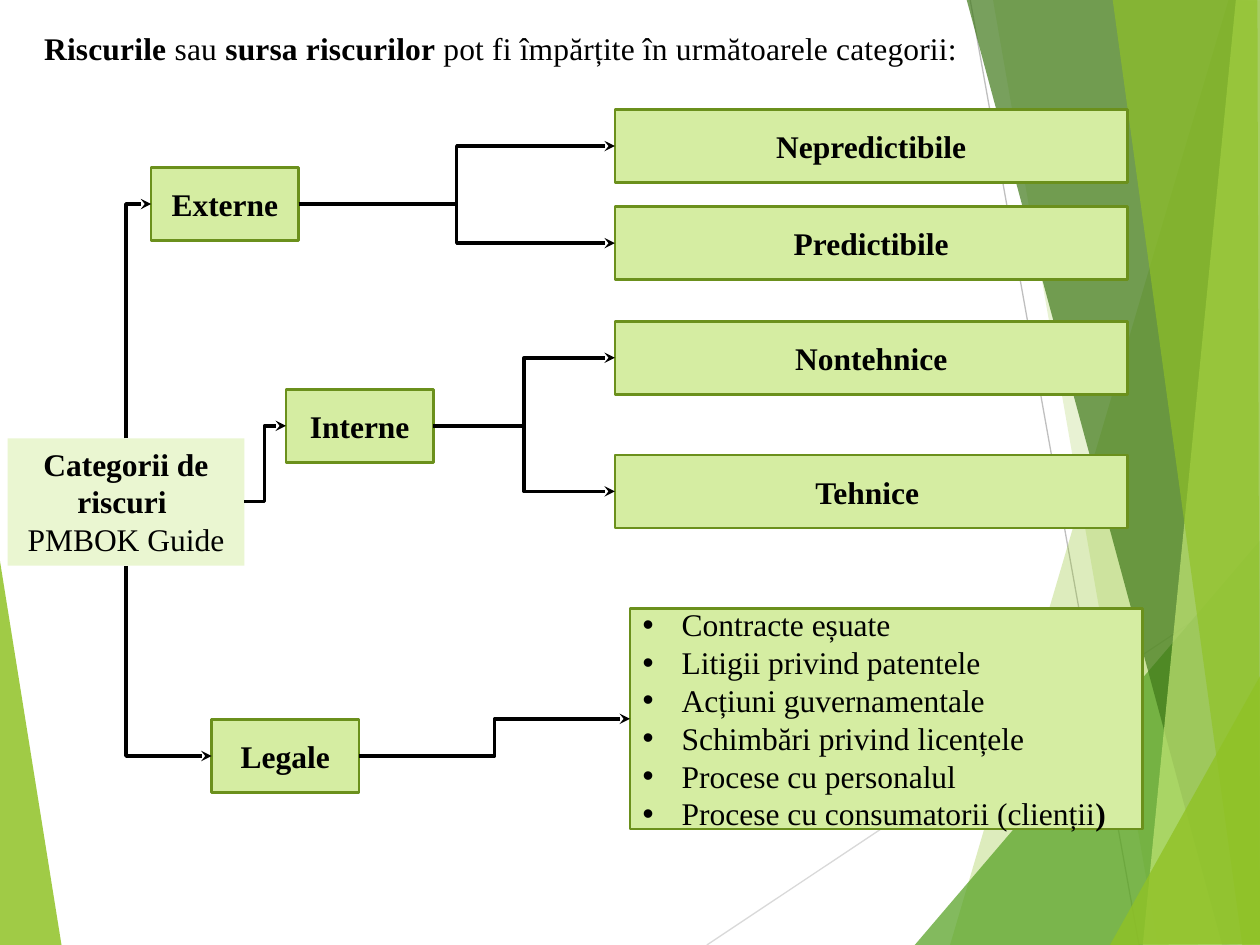
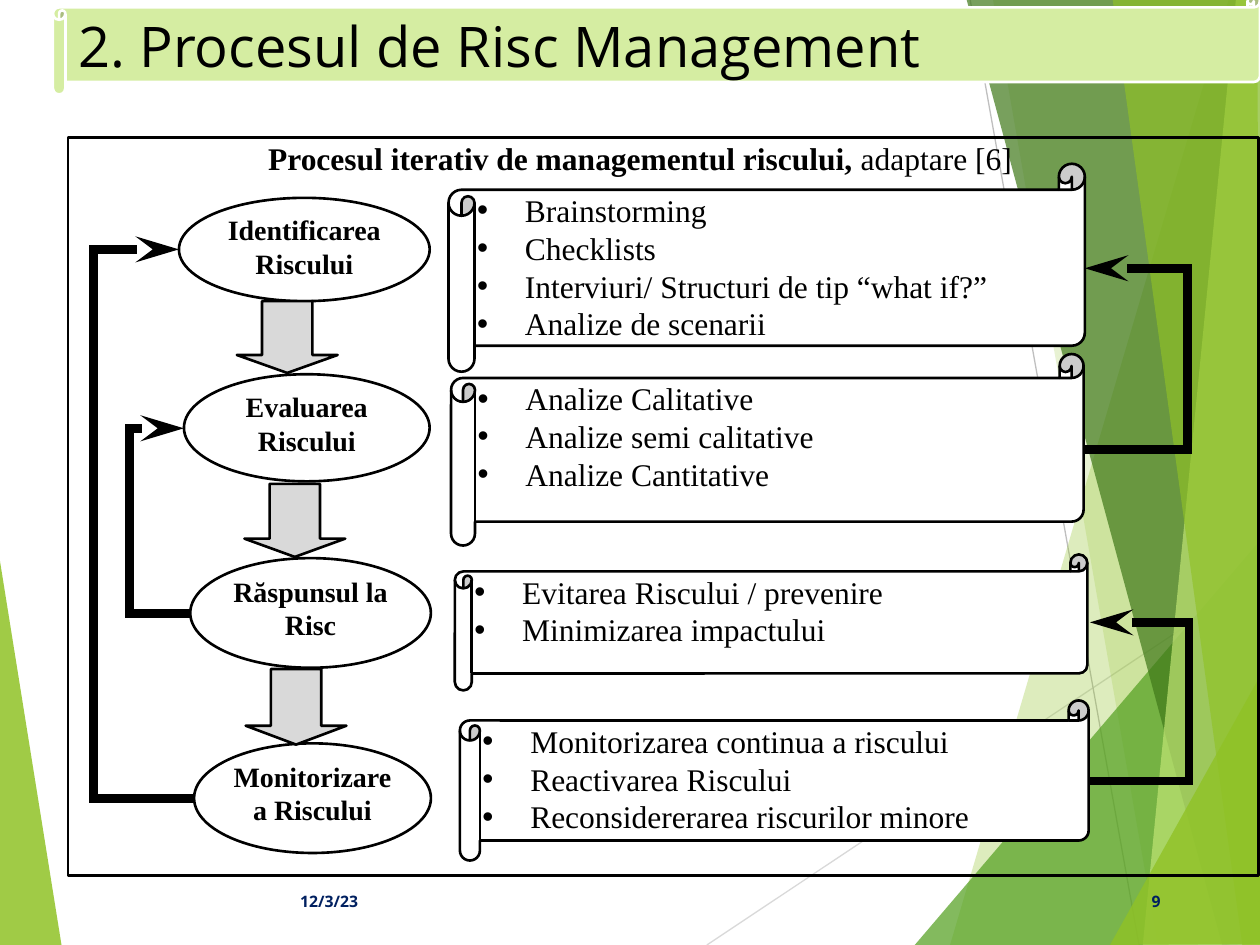
from dataclasses import dataclass
from lxml import etree
from pptx import Presentation
from pptx import util as u
from pptx.dml.color import RGBColor
from pptx.enum import shapes, text
from pptx.oxml.ns import qn


@dataclass(frozen=True)
class Theme:
    serif: str = "Times New Roman"
    sans: str = "Open Sans"
    black: str = "000000"
    white: str = "FFFFFF"
    navy: str = "002060"
    pale: str = "EAF6D1"
    light: str = "D5EDA2"
    olive: str = "6B901C"
    lime: str = "90C226"
    leaf: str = "54A021"
    forest: str = "3F7819"
    mint: str = "C0E474"
    grey: str = "D9D9D9"
    mid_grey: str = "BFBFBF"
    heading: int = 32
    body: int = 18
    step: int = 16
    footer: int = 9


theme = Theme()
kinds = shapes.MSO_SHAPE
align = text.PP_ALIGN
anchors = text.MSO_ANCHOR


def dress(box, paragraphs=(), fill=None, line=None, size=theme.body, font=theme.serif,
          color=theme.black, side=align.LEFT, anchor=anchors.TOP, insets=None, hang=0):
    box.shadow.inherit = False
    if fill:
        box.fill.solid()
        box.fill.fore_color.rgb = RGBColor.from_string(fill)
    else:
        box.fill.background()
    if line:
        box.line.color.rgb = RGBColor.from_string(line)
        box.line.width = u.Pt(1.5)
    else:
        box.line.fill.background()
    frame = box.text_frame
    frame.word_wrap = True
    frame.auto_size = text.MSO_AUTO_SIZE.NONE
    frame.vertical_anchor = anchor
    if insets:
        frame.margin_left = frame.margin_right = u.Inches(insets[0])
        frame.margin_top = frame.margin_bottom = u.Inches(insets[1])
    for index, spans in enumerate(paragraphs):
        para = frame.add_paragraph() if index else frame.paragraphs[0]
        para.alignment = side
        para.space_before = u.Pt(0)
        for words, bold in spans:
            span = para.add_run()
            span.text = words
            span.font.name = font
            span.font.size = u.Pt(size)
            span.font.bold = bold
            span.font.color.rgb = RGBColor.from_string(color)
        if hang:
            settings = para._p.get_or_add_pPr()
            settings.set("marL", str(u.Inches(hang)))
            settings.set("indent", str(-u.Inches(hang)))
            etree.SubElement(settings, qn("a:buFont"), typeface="Arial")
            etree.SubElement(settings, qn("a:buChar"), char="•")


def add_elbow(page, start, end, bend, weight, head="med", sharp=False):
    link = page.shapes.add_connector(shapes.MSO_CONNECTOR.ELBOW, *map(u.Inches, start + end))
    link.line.color.rgb = RGBColor.from_string(theme.black)
    link.line.width = u.Pt(weight)
    ratio = round((bend - start[0]) / (end[0] - start[0]) * 100000)
    properties = link.element.spPr
    guides = properties.find(qn("a:prstGeom")).find(qn("a:avLst"))
    etree.SubElement(guides, qn("a:gd"), name="adj1", fmla=f"val {ratio}")
    stroke = properties.find(qn("a:ln"))
    if sharp:
        etree.SubElement(stroke, qn("a:miter"), lim="800000")
    etree.SubElement(stroke, qn("a:tailEnd"), type="stealth", len=head)
    etree.SubElement(properties, qn("a:effectLst"))


deck = Presentation()
deck.slide_width, deck.slide_height = u.Inches(10), u.Inches(7.5)

categories = deck.slides.add_slide(deck.slide_layouts[1])
backdrop = []

facets = [
    (theme.lime, 85, [(-0.01, 4.39), (0.49, 7.51), (-0.01, 7.5)]),
    (theme.lime, 30, [(9.75, 0), (7.54, 7.5), (10.02, 7.51), (10.01, 0.01)]),
    (theme.lime, 20, [(7.88, -0.01), (9.19, 7.5), (10.01, 7.5), (10.01, -0.01)]),
    (theme.leaf, 72, [(7.26, 7.5), (10, 4.29), (10.01, 7.5)]),
    (theme.forest, 70, [(7.67, -0.01), (9.7, 7.5), (10.01, 7.49), (10.01, -0.01)]),
    (theme.mint, 70, [(9.81, -0.01), (9.07, 7.5), (10.01, 7.5), (10, -0.01)]),
    (theme.lime, 65, [(8.83, -0.01), (9.86, 7.5), (10, 7.5), (9.98, -0.01)]),
    (theme.lime, 80, [(8.81, 7.5), (10.01, 5.35), (10.01, 7.49)]),
]
for color, opacity, points in facets:
    corners = [(u.Inches(x), u.Inches(y)) for x, y in points]
    outline = categories.shapes.build_freeform(*corners[0])
    outline.add_line_segments(corners[1:], close=True)
    facet = outline.convert_to_shape()
    dress(facet, fill=color)
    tint = facet.element.spPr.find(qn("a:solidFill")).find(qn("a:srgbClr"))
    etree.SubElement(tint, qn("a:alpha"), val=str(opacity * 1000))
    backdrop.append(facet)

rays = [(theme.grey, (5.61, 7.5, 10.01, 4.57)), (theme.mid_grey, (7.7, 0, 9.04, 7.5))]
for position, (color, ends) in enumerate(rays, 1):
    ray = categories.shapes.add_connector(shapes.MSO_CONNECTOR.STRAIGHT, *map(u.Inches, ends))
    ray.line.color.rgb = RGBColor.from_string(color)
    ray.line.width = u.Pt(0.75)
    etree.SubElement(ray.element.spPr, qn("a:effectLst"))
    backdrop.insert(position, ray)

master_tree = deck.slide_master.shapes.element
for number, piece in enumerate(backdrop):
    piece.element.xpath(".//p:cNvPr")[0].set("id", str(100 + number))
    master_tree.insert(2 + number, piece.element)

title = categories.shapes.title
title.left, title.top, title.width, title.height = map(u.Inches, (0, 0.14, 9.25, 0.42))
dress(title, [[("Riscurile", True), (" sau ", False), ("sursa riscurilor ", True),
               ("pot fi împărțite în următoarele categorii:", False)]])
lead = title.text_frame.paragraphs[0]
lead.line_spacing = 1.14
lead.space_before = u.Pt(7.2)
lead._p.pPr.set("marL", str(u.Inches(0.08)))
lead._p.pPr.set("indent", str(u.Inches(0.17)))
for span in lead.runs:
    span._r.get_or_add_rPr().set("spc", "10")

legal_place = (5, 4.83, 4.07, 1.75)
legal_list = categories.placeholders[1]
legal_list.left, legal_list.top, legal_list.width, legal_list.height = map(u.Inches, legal_place)
legal_items = ["Contracte eșuate", "Litigii privind patentele", "Acțiuni guvernamentale",
               "Schimbări privind licențele", "Procese cu personalul"]
dress(legal_list, [[(item, False)] for item in legal_items]
      + [[("Procese cu consumatorii (clienții", False), (")", True)]],
      fill=theme.light, line=theme.olive, anchor=anchors.MIDDLE, hang=0.31)

root_place = (0.06, 3.48, 1.88, 1.01)
root = categories.shapes.add_shape(kinds.RECTANGLE, *map(u.Inches, root_place))
dress(root, [[("Categorii de riscuri ", True)], [("PMBOK Guide", False)]],
      fill=theme.pale, side=align.CENTER)

branch_size, leaf_size = (1.17, 0.58), (4.07, 0.58)
places = {
    "Externe": (1.2, 1.33) + branch_size,
    "Interne": (2.27, 3.09) + branch_size,
    "Legale": (1.68, 5.71) + branch_size,
    "Nepredictibile": (4.88, 0.87) + leaf_size,
    "Predictibile": (4.88, 1.64) + leaf_size,
    "Nontehnice": (4.88, 2.55) + leaf_size,
    "Tehnice ": (4.88, 3.61) + leaf_size,
}
for label, place in places.items():
    box = categories.shapes.add_shape(kinds.FLOWCHART_PROCESS, *map(u.Inches, place))
    dress(box, [[(label, True)]], fill=theme.light, line=theme.olive,
          side=align.CENTER, anchor=anchors.MIDDLE)

tree = {
    "Externe": ((1, 3.48), 1, [places["Nepredictibile"], places["Predictibile"]]),
    "Interne": ((1.94, 3.98), 2.1, [places["Nontehnice"], places["Tehnice "]]),
    "Legale": ((1, 4.49), 1, [legal_place]),
}
for label, (start, bend, targets) in tree.items():
    left, top, width, height = places[label]
    middle = top + height / 2
    add_elbow(categories, start, (left, middle), bend, 2)
    for target in targets:
        exit_x = left + width
        add_elbow(categories, (exit_x, middle), (target[0], target[1] + target[3] / 2),
                  (exit_x + target[0]) / 2, 2)

process = deck.slides.add_slide(deck.slide_layouts[5])
for left, words in [(0.69, "12/3/23"), (7.06, "9")]:
    footer = process.shapes.add_textbox(*map(u.Inches, (left, 6.95, 2.25, 0.4)))
    dress(footer, [[(words, True)]], size=theme.footer, font=theme.sans, color=theme.navy,
          side=align.RIGHT, anchor=anchors.MIDDLE)

banner = process.shapes.add_shape(kinds.HORIZONTAL_SCROLL,
                                  *map(u.Inches, (0.42, -0.04, 9.58, 0.79)))
dress(banner, fill=theme.light, line=theme.white)
title = process.shapes.title
title.left, title.top, title.width, title.height = map(u.Inches, (0.52, 0.06, 9.43, 0.59))
dress(title, [[("2. Procesul de Risc Management", False)]],
      size=theme.heading, font=theme.sans, anchor=anchors.MIDDLE)
process.shapes.element.append(title.element)

border = process.shapes.add_shape(kinds.RECTANGLE, *map(u.Inches, (0.54, 1.09, 9.45, 5.86)))
dress(border, line=theme.black)

steps = [
    ("Identificarea Riscului", (1.42, 1.57, 1.99, 0.82), (3.56, 1.3, 5.05, 1.65),
     ["Brainstorming", "Checklists", "Interviuri/ Structuri de tip “what if?”",
      "Analize de scenarii"]),
    ("Evaluarea Riscului", (1.46, 2.97, 1.95, 0.85), (3.58, 2.81, 5.02, 1.52),
     ["Analize Calitative", "Analize semi calitative", "Analize Cantitative"]),
    ("Răspunsul la Risc", (1.51, 4.43, 1.91, 0.87), (3.61, 4.4, 5.02, 1.08),
     ["Evitarea Riscului / prevenire", "Minimizarea impactului"]),
    ("Monitorizarea Riscului", (1.54, 5.9, 1.88, 0.87), (3.65, 5.56, 4.99, 1.27),
     ["Monitorizarea continua a riscului", "Reactivarea Riscului",
      "Reconsidererarea riscurilor minore"]),
]
for label, oval_place, scroll_place, methods in steps:
    oval = process.shapes.add_shape(kinds.OVAL, *map(u.Inches, oval_place))
    dress(oval, [[(label, True)]], fill=theme.white, line=theme.black, size=theme.step,
          side=align.CENTER, insets=(0, 0))
    scroll = process.shapes.add_shape(kinds.HORIZONTAL_SCROLL, *map(u.Inches, scroll_place))
    dress(scroll, [[(method, False)] for method in methods], fill=theme.white,
          line=theme.black, side=align.JUSTIFY, insets=(0.02, 0.01), hang=0.38)

for left, top, height in [(1.88, 2.39, 0.57), (1.94, 3.84, 0.58), (1.95, 5.31, 0.6)]:
    arrow = process.shapes.add_shape(kinds.DOWN_ARROW, *map(u.Inches, (left, top, 0.8, height)))
    arrow.adjustments[0], arrow.adjustments[1] = 0.5, 0.25
    dress(arrow, fill=theme.grey, line=theme.black)

loops = [
    ((1.54, 6.34), (1.42, 1.98), 0.74),
    ((1.51, 4.87), (1.46, 3.4), 1.03),
    ((8.6, 3.57), (8.61, 2.13), 9.44),
    ((8.64, 6.2), (8.65, 4.94), 9.45),
]
for start, end, bend in loops:
    add_elbow(process, start, end, bend, 5, head="lg", sharp=True)

caption = process.shapes.add_textbox(*map(u.Inches, (1.41, 1.09, 7.34, 0.33)))
dress(caption, [[("Procesul iterativ de managementul riscului, ", True), ("adaptare [6]", False)]],
      side=align.CENTER, insets=(0.02, 0.01))

deck.save("out.pptx")
